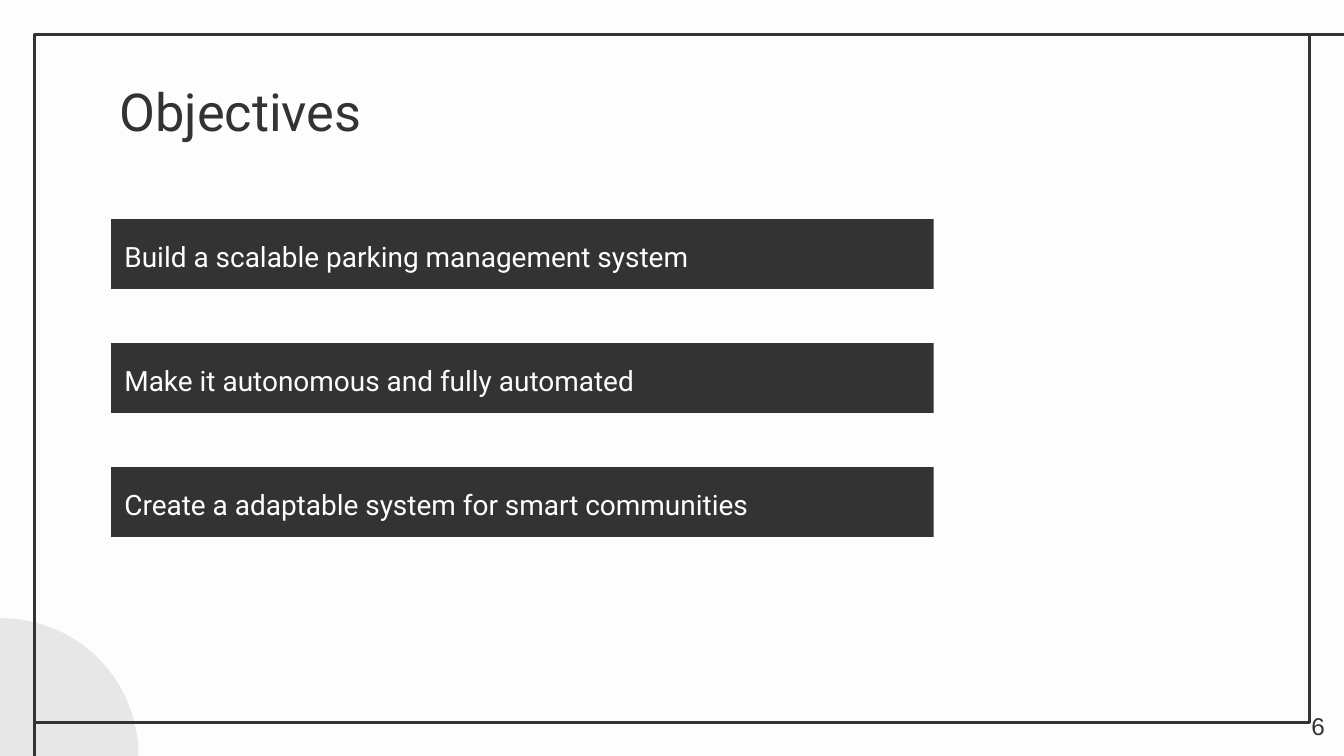
from dataclasses import dataclass

from lxml.etree import SubElement
from pptx import Presentation
from pptx.dml.color import RGBColor
from pptx.enum.shapes import MSO_CONNECTOR, MSO_SHAPE
from pptx.enum.text import MSO_ANCHOR, PP_ALIGN
from pptx.oxml.ns import qn
from pptx.shapes.autoshape import Shape
from pptx.slide import Slide
from pptx.util import Inches, Length, Pt

INK = RGBColor(0x33, 0x33, 0x33)
PAPER = RGBColor(0xFD, 0xFD, 0xFD)
MIST = RGBColor(0xE8, 0xE7, 0xE7)

WIDTH = 10
HEIGHT = WIDTH * 9 / 16
CELL = WIDTH / 100
FRAME_WEIGHT = Pt(1.5)
OBJECTIVES = (
    "Build a scalable parking management system",
    "Make it autonomous and fully automated",
    "Create a adaptable system for smart communities",
)


@dataclass(frozen=True)
class Area:
    """A rectangle measured in grid columns and rows."""

    column: float
    row: float
    columns: float
    rows: float

    def lengths(self) -> tuple[Length, ...]:
        """Return left, top, width and height."""
        cells = (self.column, self.row, self.columns, self.rows)
        return tuple(Inches(count * CELL) for count in cells)


@dataclass(frozen=True)
class TextStyle:
    """The look of one piece of text."""

    size: float
    font: str
    color: RGBColor
    align: PP_ALIGN = PP_ALIGN.LEFT
    anchor: MSO_ANCHOR = MSO_ANCHOR.TOP
    spacing: float = 1.0


TITLE = TextStyle(28, "Roboto", INK)
NUMBER = TextStyle(13, "Arial", INK, align=PP_ALIGN.RIGHT)
OBJECTIVE = TextStyle(15, "Roboto", PAPER, anchor=MSO_ANCHOR.MIDDLE, spacing=1.15)


def write(box: Shape, text: str, style: TextStyle) -> None:
    """Put styled text into a box."""
    frame = box.text_frame
    frame.text = text
    frame.word_wrap = True
    frame.vertical_anchor = style.anchor
    frame.margin_left = frame.margin_right = Inches(CELL)
    frame.margin_top = frame.margin_bottom = Inches(CELL)
    para = frame.paragraphs[0]
    para.alignment = style.align
    para.line_spacing = style.spacing
    span = para.runs[0]
    span.font.size = Pt(style.size)
    span.font.name = style.font
    span.font.color.rgb = style.color


def add_text(page: Slide, area: Area, text: str, style: TextStyle) -> None:
    """Add a text box."""
    write(page.shapes.add_textbox(*area.lengths()), text, style)


def add_solid(page: Slide, kind: MSO_SHAPE, area: Area, color: RGBColor) -> Shape:
    """Add a filled shape without an outline."""
    shape = page.shapes.add_shape(kind, *area.lengths())
    shape.shadow.inherit = False
    shape.fill.solid()
    shape.fill.fore_color.rgb = color
    shape.line.fill.background()
    return shape


def add_frame(page: Slide, area: Area) -> None:
    """Add the outlined border."""
    frame = page.shapes.add_shape(MSO_SHAPE.RECTANGLE, *area.lengths())
    frame.shadow.inherit = False
    frame.fill.background()
    frame.line.color.rgb = INK
    frame.line.width = FRAME_WEIGHT


def add_rule(page: Slide, area: Area) -> None:
    """Add a straight line across an area."""
    left, top, width, height = area.lengths()
    rule = page.shapes.add_connector(
        MSO_CONNECTOR.STRAIGHT, left, top, left + width, top + height
    )
    rule.line.color.rgb = INK
    rule.line.width = FRAME_WEIGHT
    SubElement(rule._element.spPr, qn("a:effectLst"))


def main() -> None:
    """Build the objectives slide."""
    deck = Presentation()
    deck.slide_width, deck.slide_height = Inches(WIDTH), Inches(HEIGHT)
    page = deck.slides.add_slide(deck.slide_layouts[6])
    page.background.fill.solid()
    page.background.fill.fore_color.rgb = PAPER

    add_solid(page, MSO_SHAPE.OVAL, Area(-10.1, 46, 20.4, 20.4), MIST)
    add_frame(page, Area(2.54, 2.54, 94.9, 51.2))
    add_rule(page, Area(97.5, 2.54, 3.3, 0))
    add_rule(page, Area(2.54, 53.5, 0, 3.3))

    add_text(page, Area(7.9, 4.9, 84.3, 6.3), "Objectives", TITLE)
    add_text(page, Area(93.55, 51.94, 6, 4.3), "6", NUMBER)
    for index, objective in enumerate(OBJECTIVES):
        area = Area(8.27, 16.3 + index * 9.23, 61.2, 5.2)
        bar = add_solid(page, MSO_SHAPE.RECTANGLE, area, INK)
        write(bar, objective, OBJECTIVE)

    deck.save("out.pptx")


if __name__ == "__main__":
    main()
